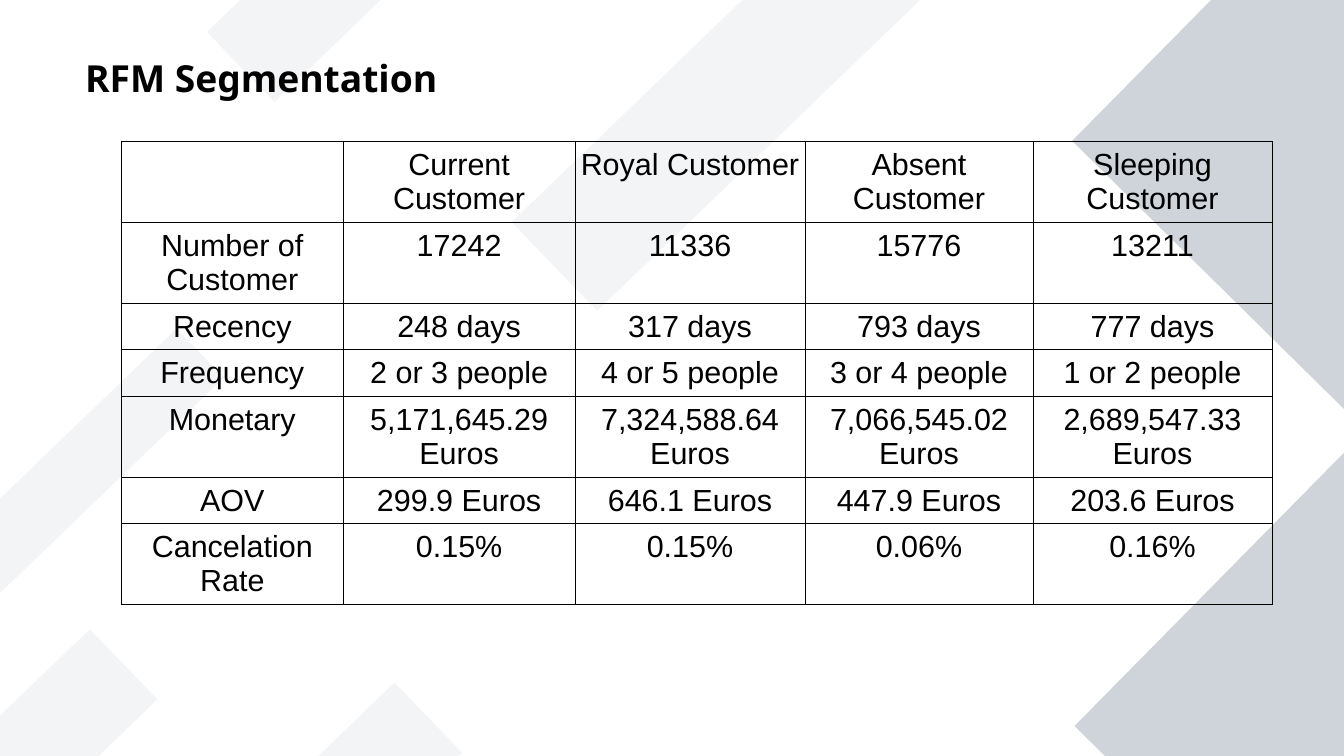
"""Build the RFM segmentation slide with its customer table."""
from dataclasses import dataclass

from lxml.etree import SubElement
from pptx import Presentation
from pptx.dml.color import RGBColor
from pptx.enum.shapes import MSO_SHAPE as Shape
from pptx.enum.text import MSO_ANCHOR as Anchor, MSO_AUTO_SIZE as AutoSize, PP_ALIGN as Align
from pptx.oxml.ns import qn
from pptx.util import Cm, Pt


@dataclass(frozen=True)
class Theme:
    ink: RGBColor = RGBColor(0, 0, 0)
    diamond: RGBColor = RGBColor(0xCE, 0xD4, 0xDA)
    band: RGBColor = RGBColor(0x8D, 0x99, 0xAE)
    band_opacity: int = 10
    title_font: str = "Noto Sans"
    table_font: str = "Arial"
    title_size: Pt = Pt(22)
    table_size: Pt = Pt(18)
    border: Pt = Pt(0.57)


def set_all(target, values):
    for name, value in values.items():
        setattr(target, name, value)


def add_panel(page, box, angle, color, opacity=100):
    panel = page.shapes.add_shape(Shape.RECTANGLE, *map(Cm, box))
    panel.rotation = angle
    panel.shadow.inherit = False
    panel.line.fill.background()
    panel.fill.solid()
    panel.fill.fore_color.rgb = color
    if opacity < 100:
        tint = panel.element.spPr.find(".//" + qn("a:srgbClr"))
        SubElement(tint, qn("a:alpha"), val=str(opacity * 1000))


theme = Theme()
deck = Presentation()
set_all(deck, {"slide_width": Cm(28), "slide_height": Cm(15.75)})
page = deck.slides.add_slide(deck.slide_layouts[5])

for left, top in [(24, -1.12), (24.05, 11.07)]:
    add_panel(page, (left, top, 8.03, 8.03), 314.6, theme.diamond)

bands = [
    (2.74, 16.43, 7.19, 2.03),
    (-3.61, 15.32, 7.19, 2.03),
    (10.21, 0.94, 9.6, 2.57),
    (4.01, -2.11, 7.19, 2.03),
    (-2.01, 9.14, 7.19, 1.42),
]
for box in bands:
    add_panel(page, box, 316.1, theme.band, theme.band_opacity)

title = page.shapes.title
title.element.getparent().append(title.element)
set_all(title, {"left": Cm(1.52), "top": Cm(1.02), "width": Cm(9.9), "height": Cm(1.3)})
set_all(title.text_frame, {
    "text": "RFM Segmentation",
    "word_wrap": True,
    "auto_size": AutoSize.NONE,
    "vertical_anchor": Anchor.TOP,
})
para = title.text_frame.paragraphs[0]
para.alignment = Align.LEFT
set_all(para.font, {"name": theme.title_font, "size": theme.title_size, "bold": True})
para.font.color.rgb = theme.ink

rows = [
    ["", "Current Customer", "Royal Customer", "Absent Customer", "Sleeping Customer"],
    ["Number of Customer", "17242", "11336", "15776", "13211"],
    ["Recency", "248 days", "317 days", "793 days", "777 days"],
    ["Frequency", "2 or 3 people", "4 or 5 people", "3 or 4 people", "1 or 2 people"],
    ["Monetary", "5,171,645.29 Euros", "7,324,588.64 Euros", "7,066,545.02 Euros", "2,689,547.33 Euros"],
    ["AOV", "299.9 Euros", "646.1 Euros", "447.9 Euros", "203.6 Euros"],
    ["Cancelation Rate", "0.15%", "0.15%", "0.06%", "0.16%"],
]
column_widths = [4.62, 4.83, 4.79, 4.75, 4.98]
one_line, two_lines = 0.97, 1.68
row_heights = [two_lines, two_lines, one_line, one_line, two_lines, one_line, two_lines]

table = page.shapes.add_table(
    len(rows), len(column_widths), Cm(2.53), Cm(2.95),
    Cm(sum(column_widths)), Cm(sum(row_heights)),
).table
set_all(table, {"first_row": False, "horz_banding": False})
for column, width in zip(table.columns, column_widths):
    column.width = Cm(width)

for row, height, texts in zip(table.rows, row_heights, rows):
    row.height = Cm(height)
    for cell, text in zip(row.cells, texts):
        set_all(cell, {
            "text": text,
            "margin_left": Cm(0.1),
            "margin_right": Cm(0.1),
            "margin_top": Cm(0.13),
            "margin_bottom": Cm(0.13),
            "vertical_anchor": Anchor.TOP,
        })
        para = cell.text_frame.paragraphs[0]
        para.alignment = Align.CENTER
        set_all(para.font, {"name": theme.table_font, "size": theme.table_size})
        para.font.color.rgb = theme.ink
        properties = cell._tc.get_or_add_tcPr()
        for side in ("lnL", "lnR", "lnT", "lnB"):
            edge = SubElement(properties, qn("a:" + side), w=str(theme.border))
            SubElement(SubElement(edge, qn("a:solidFill")), qn("a:srgbClr"), val=str(theme.ink))
        cell.fill.background()

deck.save("out.pptx")
